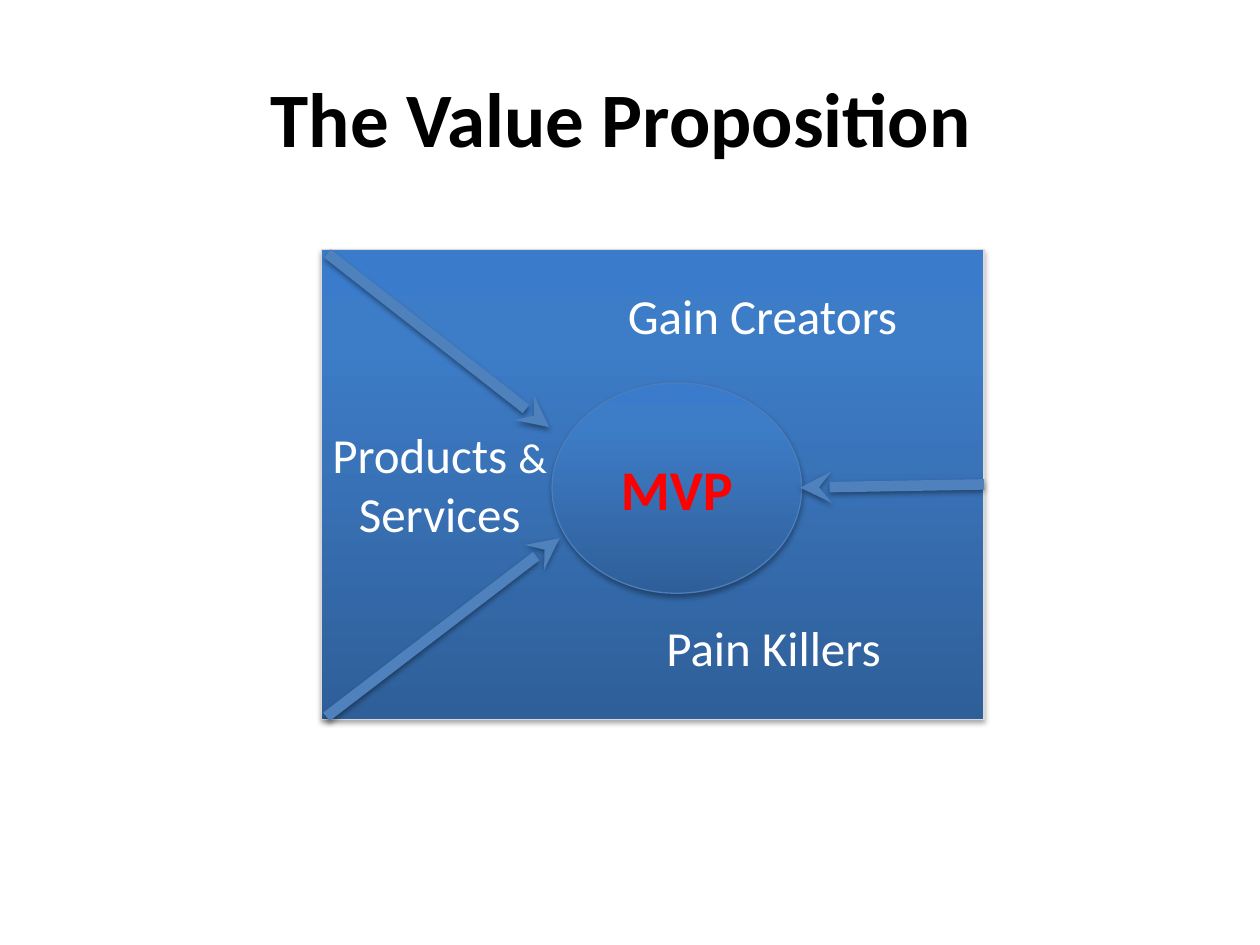
import copy

import pptx
import pptx.dml.color
import pptx.enum.shapes
import pptx.enum.text
import pptx.oxml
import pptx.oxml.ns
import pptx.util

Cm, Pt = pptx.util.Cm, pptx.util.Pt
RGBColor = pptx.dml.color.RGBColor
SHAPE = pptx.enum.shapes.MSO_SHAPE
ALIGN = pptx.enum.text.PP_ALIGN
qn = pptx.oxml.ns.qn

BLACK = RGBColor(0x00, 0x00, 0x00)
WHITE = RGBColor(0xFF, 0xFF, 0xFF)
RED = RGBColor(0xFF, 0x00, 0x00)
GREY = RGBColor(0xD9, 0xD9, 0xD9)
OUTLINE = RGBColor(0x4B, 0x7E, 0xBC)
ARROW = RGBColor(0x4F, 0x81, 0xBD)
GRADIENT = [(0, RGBColor(0x2F, 0x5F, 0x99)), (0.8, RGBColor(0x3D, 0x7C, 0xC7)),
            (1, RGBColor(0x3A, 0x7C, 0xCB))]


def add_shadow(sp, alpha, dist):
    """Give a shape or connector a soft black shadow straight below it."""
    sp._element.spPr.append(pptx.oxml.parse_xml(
        f'<a:effectLst {pptx.oxml.ns.nsdecls("a")}>'
        f'<a:outerShdw blurRad="{Pt(3.1)}" dist="{Pt(dist)}" dir="5400000" rotWithShape="0">'
        f'<a:srgbClr val="000000"><a:alpha val="{alpha * 1000}"/></a:srgbClr>'
        '</a:outerShdw></a:effectLst>'))


def format_run(r, size, color, bold=False):
    r.font.name = "Calibri"
    r.font.size = Pt(size)
    r.font.color.rgb = color
    r.font.bold = bold


prs = pptx.Presentation()
prs.slide_width, prs.slide_height = Cm(25.4), Cm(19.05)
s = prs.slides.add_slide(prs.slide_layouts[5])

# Title
title = s.shapes.title
title.left, title.top, title.width, title.height = Cm(1.27), Cm(0.76), Cm(22.86), Cm(3.18)
title.text_frame.text = "The Value Proposition "
title.text_frame.vertical_anchor = pptx.enum.text.MSO_ANCHOR.MIDDLE
p = title.text_frame.paragraphs[0]
p.alignment = ALIGN.CENTER
format_run(p.runs[0], 44, BLACK, True)

# Value map square and the circle inside it
square = s.shapes.add_shape(SHAPE.RECTANGLE, Cm(6.48), Cm(5.03), Cm(13.36), Cm(9.47))
circle = s.shapes.add_shape(SHAPE.OVAL, Cm(11.13), Cm(7.72), Cm(5.03), Cm(4.24))
for sp, color in ((square, GREY), (circle, OUTLINE)):
    sp.fill.gradient()
    sp.fill.gradient_angle = 90
    stops = sp._element.spPr.find(".//" + qn("a:gsLst"))
    stops.insert(1, copy.deepcopy(stops[0]))
    for stop, (position, stop_color) in zip(sp.fill.gradient_stops, GRADIENT):
        stop.position = position
        stop.color.rgb = stop_color
    sp.line.color.rgb = color
    sp.line.width = Pt(0.75)
    add_shadow(sp, 35, 1.8)

circle.text_frame.text = "MVP"
circle.text_frame.vertical_anchor = pptx.enum.text.MSO_ANCHOR.MIDDLE
p = circle.text_frame.paragraphs[0]
p.alignment = ALIGN.CENTER
format_run(p.runs[0], 32, RED, True)

# Arrows pointing at the circle
arrows = []
for x1, y1, x2, y2 in ((6.6, 5.11, 11.07, 8.61),
                       (6.58, 14.45, 11.28, 10.85),
                       (19.84, 9.77, 16.13, 9.83)):
    arrow = s.shapes.add_connector(pptx.enum.shapes.MSO_CONNECTOR.STRAIGHT,
                                   Cm(x1), Cm(y1), Cm(x2), Cm(y2))
    arrow.line.color.rgb = ARROW
    arrow.line.width = Pt(6)
    arrow.line._get_or_add_ln().append(pptx.oxml.parse_xml(
        f'<a:tailEnd {pptx.oxml.ns.nsdecls("a")} type="stealth"/>'))
    add_shadow(arrow, 38, 1.6)
    arrows.append(arrow)
arrows[2].begin_connect(square, 3)

# Labels of the three fields
for x, y, w, h, parts in (
        (6.3, 8.43, 5.13, 2.64, (("Products ", 28), ("& ", 24), ("Services", 28))),
        (11.89, 5.64, 6.96, 1.45, (("Gain Creators", 28),)),
        (12.57, 12.32, 6.05, 1.45, (("Pain Killers", 28),))):
    tf = s.shapes.add_textbox(Cm(x), Cm(y), Cm(w), Cm(h)).text_frame
    tf.word_wrap = True
    tf.auto_size = pptx.enum.text.MSO_AUTO_SIZE.SHAPE_TO_FIT_TEXT
    p = tf.paragraphs[0]
    p.alignment = ALIGN.CENTER
    for text, size in parts:
        r = p.add_run()
        r.text = text
        format_run(r, size, WHITE)

prs.save("out.pptx")
